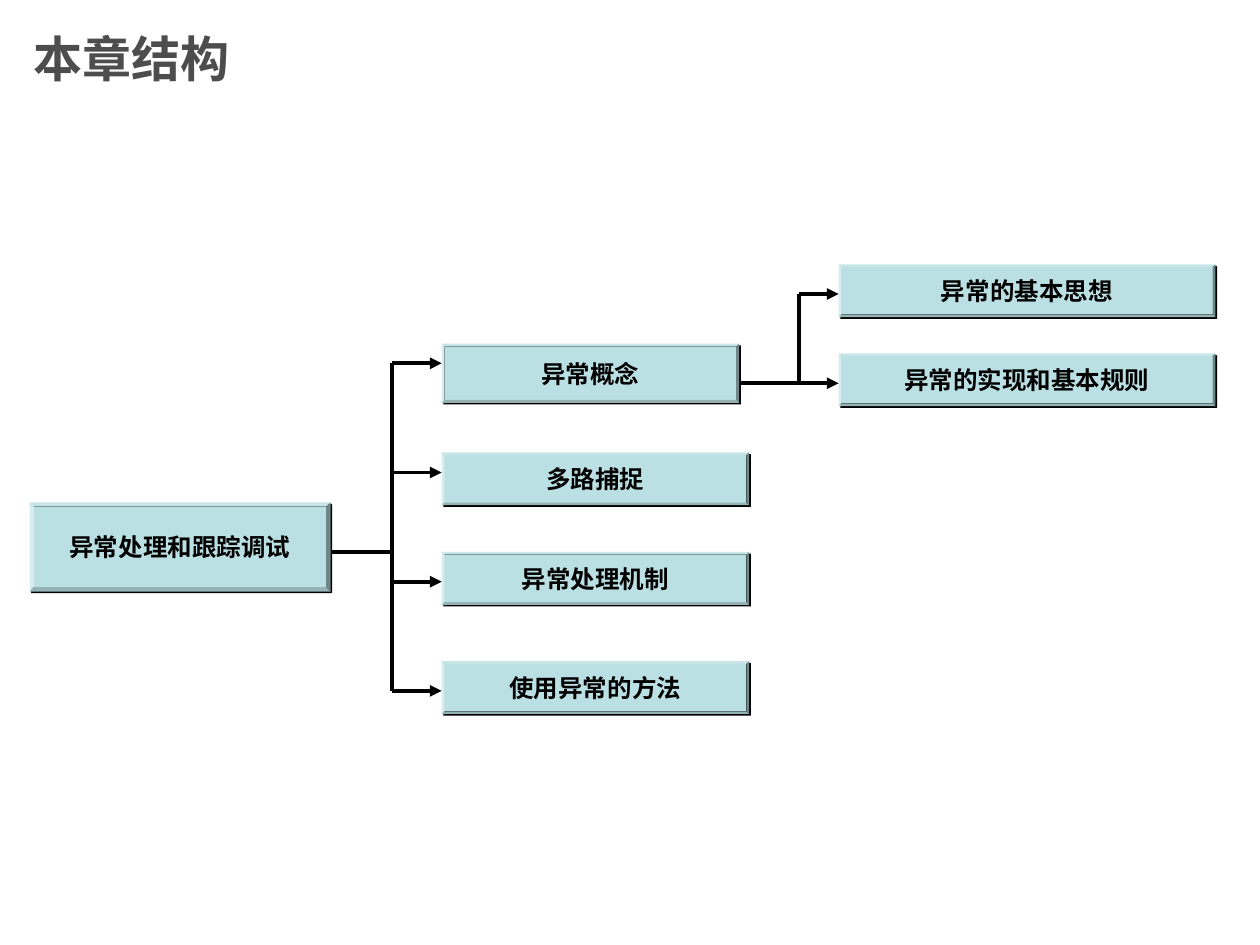
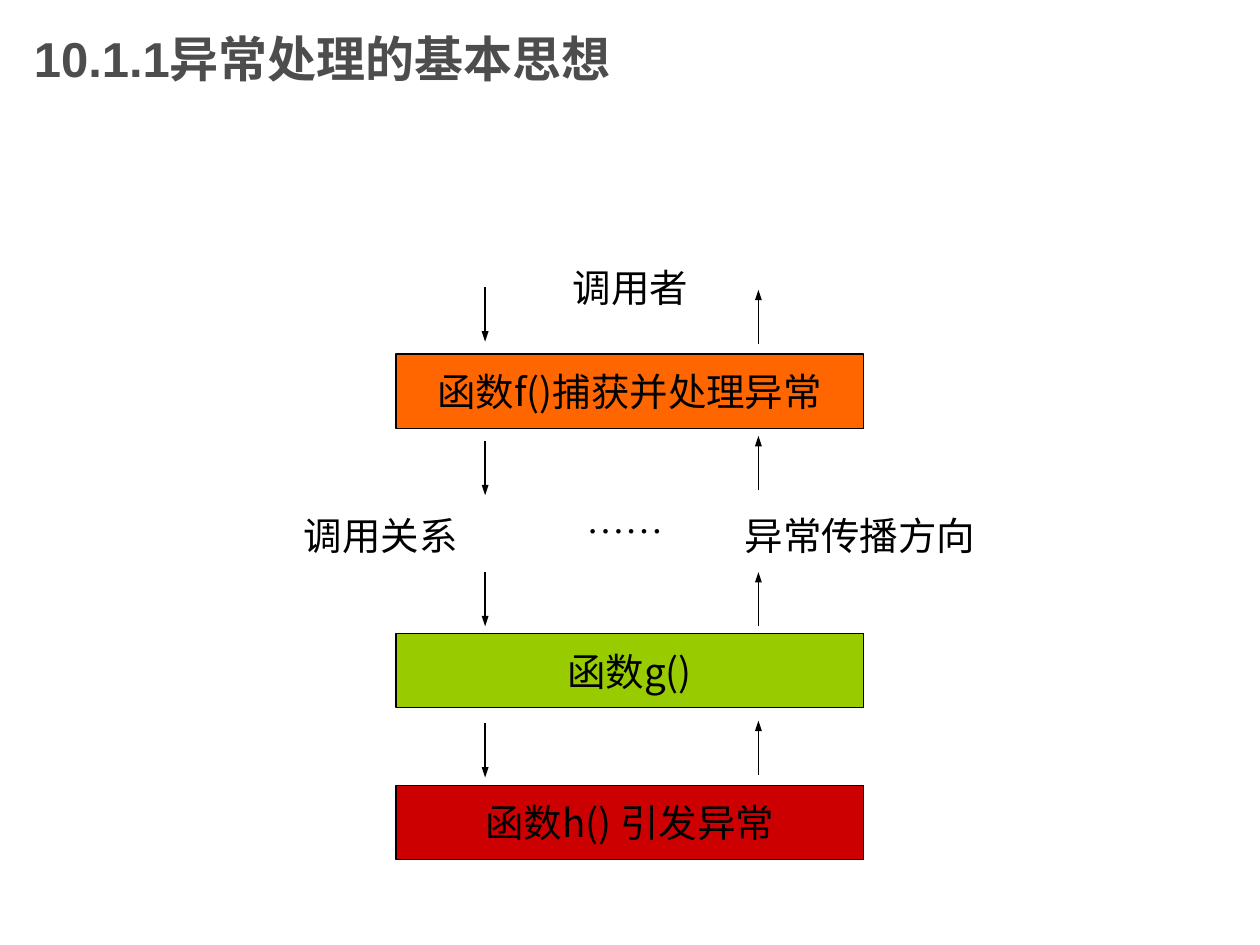
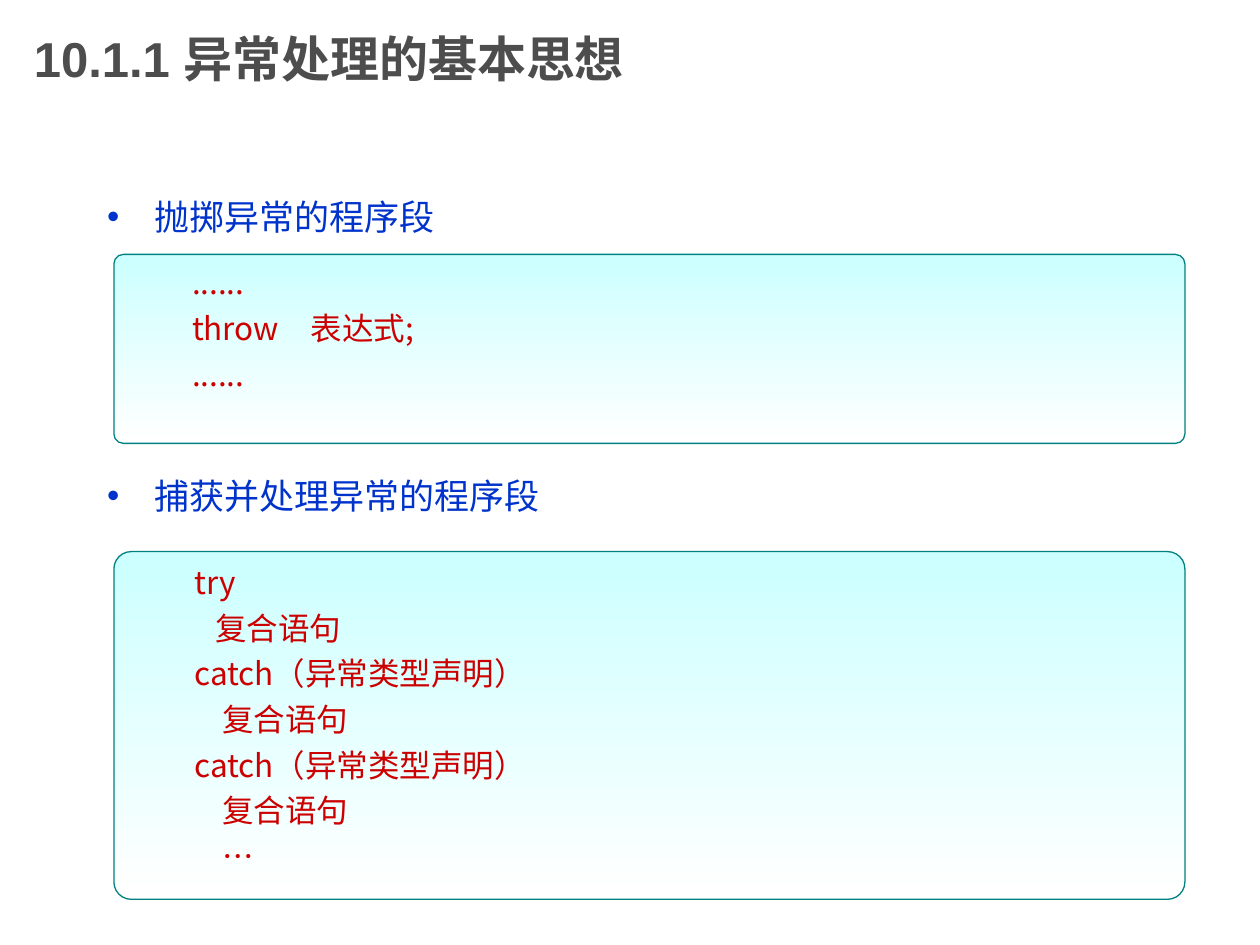
"""Three slides on exception handling: chapter map, call chain and syntax."""
from pptx import Presentation
from pptx.dml.color import RGBColor
from pptx.enum.shapes import MSO_CONNECTOR as CONN, MSO_SHAPE as SHAPE
from pptx.enum.text import MSO_ANCHOR as ANCHOR, MSO_AUTO_SIZE as AUTO, PP_ALIGN as ALIGN
from pptx.oxml import parse_xml
from pptx.oxml.ns import nsdecls, qn
from pptx.util import Pt

COLORS = dict(title="4D4D4D", black="000000", node="BBE0E3", orange="FF6600",
              green="99CC00", red="CC0000", blue="0033CC", teal="008080",
              cyan="CCFFFF", white="FFFFFF")
CJK = "Noto Sans CJK SC"
TITLES = ["本章结构", "10.1.1异常处理的基本思想", "10.1.1 异常处理的基本思想"]

ROOT = ("异常处理和跟踪调试", 16.9, 287, 172, 51)
BRANCHES = [("异常概念", 196.4, 170, 33.8), ("多路捕捉", 258.5, 175.7, 30.2),
            ("异常处理机制", 315.4, 175.7, 30.2), ("使用异常的方法", 377.8, 175.7, 30.2)]
LEAVES = [("异常的基本思想", 151), ("异常的实现和基本规则", 201.9)]
BRANCH_X, LEAF_X = 252.4, 479.2
BRANCH_YS = [207.6 + 62.4 * i for i in range(len(BRANCHES))]
LEAF_YS = [168, 219]

FUNCTIONS = [("函数f()捕获并处理异常", 202.3, "orange"), ("函数g()", 362, "green"),
             ("函数h() 引发异常", 448.8, "red")]
LABELS = [("……", 241.2, 280, 231.8, 32.4, "Times New Roman"),
          ("调用者", 298.6, 149.8, 123.1, 28, CJK),
          ("异常传播方向", 424.8, 291.6, 133.2, 28, CJK),
          ("调用关系", 156, 291.6, 123.1, 28, CJK)]
CALL_X, CALL_TOPS = 277.2, [164.2, 252, 326.9, 413.3]
RAISE_X, RAISE_TOPS = 433.4, [165.6, 249.1, 326.9, 411.8]
ARROW_LEN = 31

TOPICS = ["抛掷异常的程序段", "捕获并处理异常的程序段"]
TOPIC_GAP = 135.4
CODE = [(145.4, 108, [("......", 0), ("throw　表达式;", 0), ("......", 0)]),
        (315.2, 198.7, [("try", 0), ("复合语句", 12), ("catch（异常类型声明）", 0),
                        ("复合语句", 16), ("catch（异常类型声明）", 0),
                        ("复合语句", 16), ("…", 16)])]
CODE_INDENT = 36


def rgb(name):
    return RGBColor.from_string(COLORS[name])


def write(tf, text, size, font=CJK, color="black", bold=False, align=ALIGN.CENTER,
          anchor=ANCHOR.MIDDLE, inset=(7.2, 3.6), wrap=True, first=True,
          before=0, left=0, hang=0):
    tf.word_wrap, tf.auto_size, tf.vertical_anchor = wrap, AUTO.NONE, anchor
    tf.margin_left = tf.margin_right = Pt(inset[0])
    tf.margin_top = tf.margin_bottom = Pt(inset[1])
    p = tf.paragraphs[0] if first else tf.add_paragraph()
    p.alignment, p.space_before = align, Pt(before)
    pPr = p._p.get_or_add_pPr()
    pPr.set("marL", str(Pt(left)))
    pPr.set("indent", str(Pt(-hang)))
    r = p.add_run()
    r.text = text
    r.font.size, r.font.name, r.font.bold = Pt(size), font, bold
    r.font.color.rgb = rgb(color)
    r.font._element.find(qn("a:latin")).addnext(
        parse_xml(f'<a:ea {nsdecls("a")} typeface="{font}"/>'))


def place(sp, x, y, w, h):
    sp.left, sp.top, sp.width, sp.height = Pt(x), Pt(y), Pt(w), Pt(h)


def new_slide(prs, layout, title):
    s = prs.slides.add_slide(prs.slide_layouts[layout])
    place(s.shapes.title, 12.2, 0, 540, 66.2)
    write(s.shapes.title.text_frame, title, 28, font="Arial", color="title",
          bold=True, align=ALIGN.LEFT)
    return s


def box(s, kind, x, y, w, h, fill=None, line=None):
    sp = s.shapes.add_shape(kind, Pt(x), Pt(y), Pt(w), Pt(h))
    sp.shadow.inherit = False
    if fill:
        sp.fill.solid()
        sp.fill.fore_color.rgb = rgb(fill)
    if line:
        sp.line.color.rgb, sp.line.width = rgb(line), Pt(0.75)
    else:
        sp.line.fill.background()
    return sp


def node(s, text, x, y, w, h):
    sp = box(s, SHAPE.BEVEL, x, y, w, h, "node")
    sp.adjustments[0] = 0.05
    sp._element.spPr.find(qn("a:effectLst")).append(parse_xml(
        f'<a:outerShdw {nsdecls("a")} blurRad="0" dist="{Pt(1.4)}" dir="2700000" '
        f'algn="ctr" rotWithShape="0"><a:srgbClr val="{COLORS["black"]}"/></a:outerShdw>'))
    write(sp.text_frame, text, 14, font="Arial Narrow", bold=True, wrap=False)


def line(s, x1, y1, x2, y2, width=2.25, head=None):
    c = s.shapes.add_connector(CONN.STRAIGHT, Pt(x1), Pt(y1), Pt(x2), Pt(y2))
    c.line.color.rgb, c.line.width = rgb("black"), Pt(width)
    if head:
        c.line._get_or_add_ln().append(
            parse_xml(f'<a:tailEnd {nsdecls("a")} type="triangle" w="{head}"/>'))
    c._element.spPr.append(parse_xml(f'<a:effectLst {nsdecls("a")}/>'))


def fork(s, start, stem_y, trunk, end, ys):
    line(s, start, stem_y, trunk, stem_y)
    line(s, trunk, ys[0], trunk, ys[-1])
    for y in ys:
        line(s, trunk, y, end, y, head="med")


def chapter_map(prs):
    s = new_slide(prs, 5, TITLES[0])
    node(s, *ROOT)
    for text, y, w, h in BRANCHES:
        node(s, text, BRANCH_X, y, w, h)
    for text, y in LEAVES:
        node(s, text, LEAF_X, y, 215.3, 30.2)
    fork(s, 190, 315.4, 223.9, BRANCH_X, BRANCH_YS)
    fork(s, 422.6, LEAF_YS[-1], 456.5, LEAF_X, LEAF_YS)


def call_chain(prs):
    s = new_slide(prs, 5, TITLES[1])
    for text, y, fill in FUNCTIONS:
        sp = box(s, SHAPE.RECTANGLE, 226.3, y, 267.1, 42.5, fill, "black")
        write(sp.text_frame, text, 22, inset=(7.2, 0))
    for y in CALL_TOPS:
        line(s, CALL_X, y, CALL_X, y + ARROW_LEN, 0.75, "sm")
    for y in RAISE_TOPS:
        line(s, RAISE_X, y + ARROW_LEN, RAISE_X, y, 0.75, "sm")
    for text, x, y, w, h, font in LABELS:
        tb = s.shapes.add_textbox(Pt(x), Pt(y), Pt(w), Pt(h))
        write(tb.text_frame, text, 22, font=font, inset=(0, 0))


def syntax(prs):
    s = new_slide(prs, 1, TITLES[2])
    body = s.placeholders[1]
    place(body, 54, 108, 612, 372.2)
    for i, text in enumerate(TOPICS):
        write(body.text_frame, text, 20, color="blue", align=ALIGN.LEFT,
              anchor=ANCHOR.TOP, first=i == 0, before=TOPIC_GAP * i,
              left=27, hang=27)
    for y, h, rows in CODE:
        sp = box(s, SHAPE.ROUNDED_RECTANGLE, 65.1, y, 612, h, line="teal")
        sp.adjustments[0] = 0.05
        sp.fill.gradient()
        sp.fill.gradient_angle = 270
        for stop, name in zip(sp.fill.gradient_stops, ("cyan", "white")):
            stop.color.rgb = rgb(name)
        for i, (text, indent) in enumerate(rows):
            write(sp.text_frame, text, 18, color="red", align=ALIGN.LEFT,
                  anchor=ANCHOR.TOP, first=i == 0, before=4.5,
                  left=CODE_INDENT + indent)


def main():
    prs = Presentation()
    prs.slide_width, prs.slide_height = Pt(720), Pt(540)
    chapter_map(prs)
    call_chain(prs)
    syntax(prs)
    prs.save("out.pptx")


if __name__ == "__main__":
    main()
